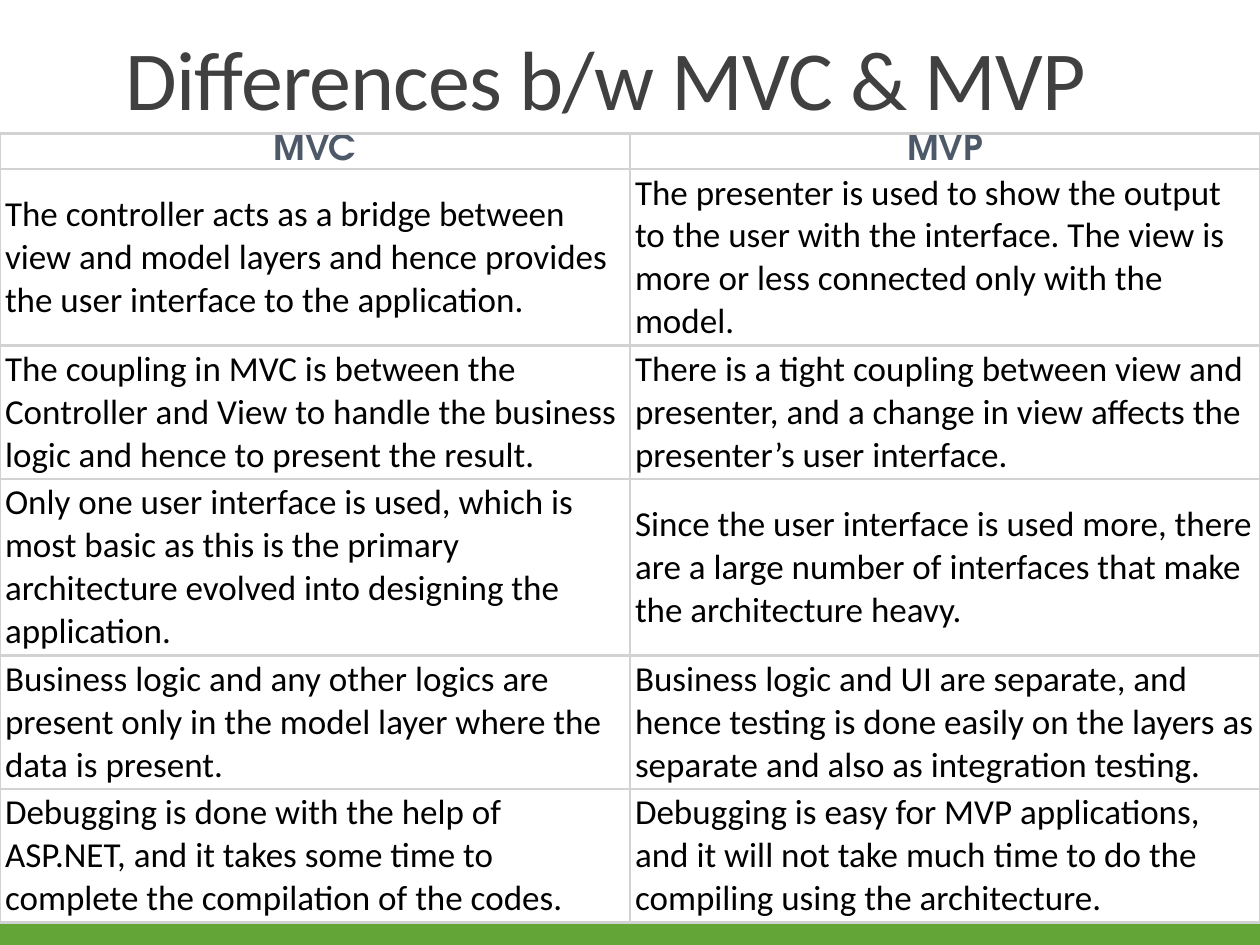
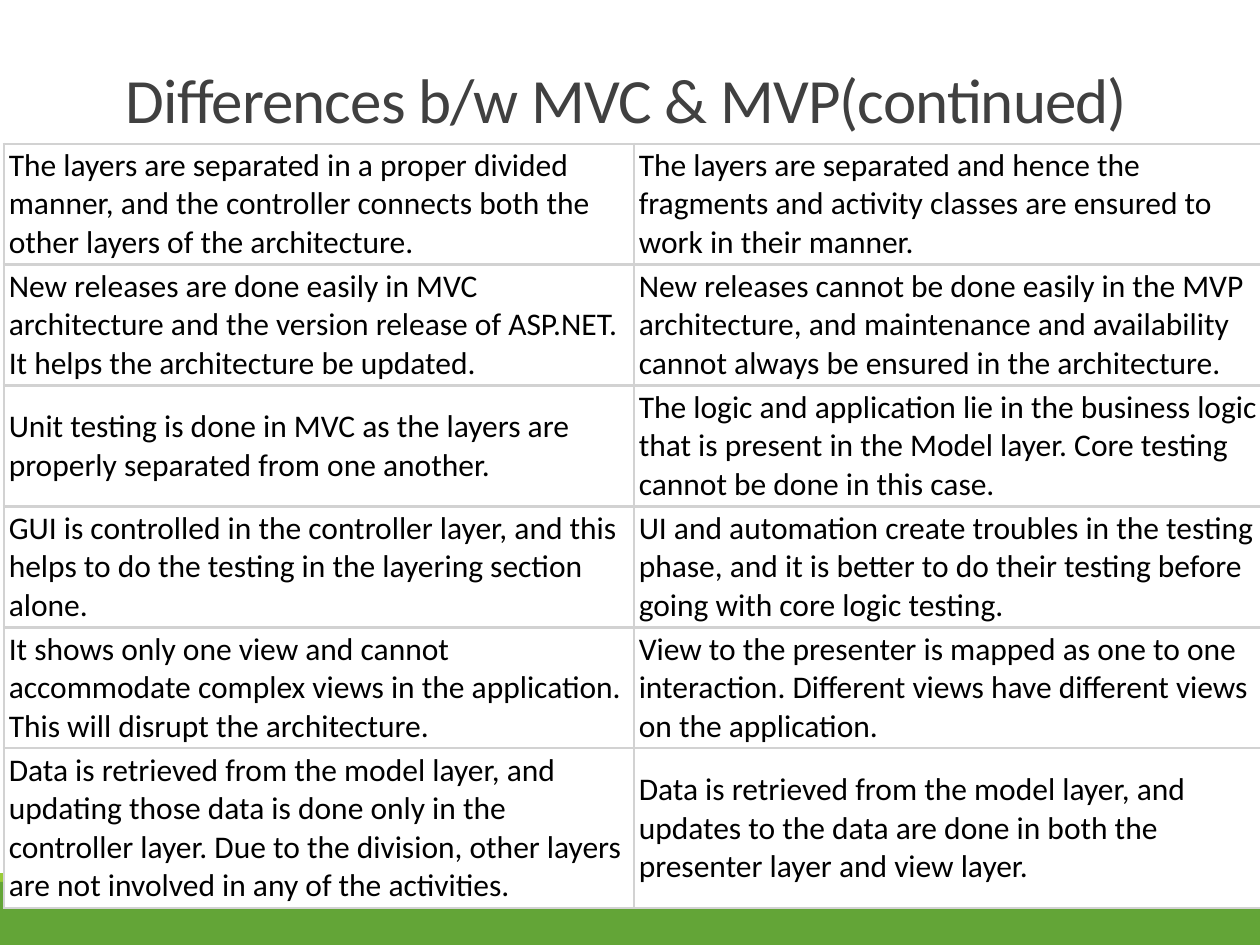
from lxml import etree
from pptx import Presentation
from pptx.dml.color import RGBColor
from pptx.enum.shapes import MSO_SHAPE
from pptx.enum.text import MSO_ANCHOR, PP_ALIGN
from pptx.oxml.ns import qn
from pptx.util import Inches, Pt

RECTANGLE = MSO_SHAPE.RECTANGLE
MIDDLE, BOTTOM = MSO_ANCHOR.MIDDLE, MSO_ANCHOR.BOTTOM
LEFT, CENTER = PP_ALIGN.LEFT, PP_ALIGN.CENTER

SLIDE_WIDTH, SLIDE_HEIGHT = 10, 7.5
TITLE_LEFT, TITLE_WIDTH = 0.9, 8.25
COLUMN_WIDTH = 5
CELL_FORMAT = {
    "margin_left": Inches(0.04), "margin_right": Inches(0.04),
    "margin_top": Inches(0.02), "margin_bottom": Inches(0.02),
    "vertical_anchor": MIDDLE,
}
BORDER_COLOR, BORDER_WIDTH = "D2D2D2", Pt(1.5)
CELL_FILL = "FFFFFF"
FOOTER_BANDS = [(6.93, 0.07, "99CB38"), (7, 0.5, "63A537")]

TITLE_FONT = {"name": "Calibri", "color": "404040"}
HEADING_FONT = {"name": "TeX Gyre Adventor", "color": "4D5968", "bold": True}
BODY_FONT = {"name": "Calibri", "color": "000000", "bold": False}

COMPARISONS = [
    {
        "title": "Differences b/w MVC & MVP",
        "title_size": 48, "title_top": -0.53, "title_height": 1.59,
        "table_left": 0, "table_top": 1.06, "text_size": 20,
        "headings": ("MVC", "MVP"),
        "row_heights": [0.28, 1.4, 1.06, 1.4, 1.06, 1.06],
        "rows": [
            ("The controller acts as a bridge between view and model layers and hence "
             "provides the user interface to the application.",
             "The presenter is used to show the output to the user with the interface. "
             "The view is more or less connected only with the model."),
            ("The coupling in MVC is between the Controller and View to handle the "
             "business logic and hence to present the result.",
             "There is a tight coupling between view and presenter, and a change in "
             "view affects the presenter’s user interface."),
            ("Only one user interface is used, which is most basic as this is the "
             "primary architecture evolved into designing the application.",
             "Since the user interface is used more, there are a large number of "
             "interfaces that make the architecture heavy."),
            ("Business logic and any other logics are present only in the model layer "
             "where the data is present.",
             "Business logic and UI are separate, and hence testing is done easily on "
             "the layers as separate and also as integration testing."),
            ("Debugging is done with the help of ASP.NET, and it takes some time to "
             "complete the compilation of the codes.",
             "Debugging is easy for MVP applications, and it will not take much time "
             "to do the compiling using the architecture."),
        ],
    },
    {
        "title": "Differences b/w MVC & MVP(continued)",
        "title_size": 36, "title_top": 0.31, "title_height": 0.82,
        "table_left": 0.03, "table_top": 1.14, "text_size": 18,
        "headings": None,
        "row_heights": [0.96] * 5 + [1.27],
        "rows": [
            ("The layers are separated in a proper divided manner, and the controller "
             "connects both the other layers of the architecture.",
             "The layers are separated and hence the fragments and activity classes "
             "are ensured to work in their manner."),
            ("New releases are done easily in MVC architecture and the version release "
             "of ASP.NET. It helps the architecture be updated.",
             "New releases cannot be done easily in the MVP architecture, and "
             "maintenance and availability cannot always be ensured in the architecture."),
            ("Unit testing is done in MVC as the layers are properly separated from "
             "one another.",
             "The logic and application lie in the business logic that is present in "
             "the Model layer. Core testing cannot be done in this case."),
            ("GUI is controlled in the controller layer, and this helps to do the "
             "testing in the layering section alone.",
             "UI and automation create troubles in the testing phase, and it is better "
             "to do their testing before going with core logic testing."),
            ("It shows only one view and cannot accommodate complex views in the "
             "application. This will disrupt the architecture.",
             "View to the presenter is mapped as one to one interaction. Different "
             "views have different views on the application."),
            ("Data is retrieved from the model layer, and updating those data is done "
             "only in the controller layer. Due to the division, other layers are not "
             "involved in any of the activities.",
             "Data is retrieved from the model layer, and updates to the data are done "
             "in both the presenter layer and view layer."),
        ],
    },
]


def rgb(hex_color):
    return RGBColor.from_string(hex_color)


def set_attributes(target, values):
    for name, value in values.items():
        setattr(target, name, value)


def write(frame, text, size, font, **paragraph_format):
    """Fill the frame's first paragraph and return its run."""
    paragraph = frame.paragraphs[0]
    set_attributes(paragraph, paragraph_format)
    run = paragraph.add_run()
    run.text = text
    run.font.size = Pt(size)
    run.font.color.rgb = rgb(font["color"])
    set_attributes(run.font, {k: v for k, v in font.items() if k != "color"})
    return run


def add_footer(slide):
    for top, height, color in FOOTER_BANDS:
        band = slide.shapes.add_shape(RECTANGLE, 0, Inches(top),
                                      Inches(SLIDE_WIDTH), Inches(height))
        band.shadow.inherit = False
        band.fill.solid()
        band.fill.fore_color.rgb = rgb(color)
        band.line.fill.background()


def add_title(slide, comparison):
    title = slide.shapes.add_textbox(
        Inches(TITLE_LEFT), Inches(comparison["title_top"]),
        Inches(TITLE_WIDTH), Inches(comparison["title_height"]))
    set_attributes(title.text_frame, {"word_wrap": True, "vertical_anchor": BOTTOM})
    run = write(title.text_frame, comparison["title"], comparison["title_size"],
                TITLE_FONT, line_spacing=0.85)
    run.font._element.set("spc", "-50")


def add_borders(cell):
    properties = cell._tc.get_or_add_tcPr()
    for side in ("a:lnL", "a:lnR", "a:lnT", "a:lnB"):
        border = etree.SubElement(properties, qn(side), w=str(BORDER_WIDTH))
        fill = etree.SubElement(border, qn("a:solidFill"))
        etree.SubElement(fill, qn("a:srgbClr"), val=BORDER_COLOR)


def add_comparison_table(slide, comparison):
    headings, heights = comparison["headings"], comparison["row_heights"]
    rows = ([headings] if headings else []) + comparison["rows"]
    table = slide.shapes.add_table(
        len(rows), 2, Inches(comparison["table_left"]), Inches(comparison["table_top"]),
        Inches(2 * COLUMN_WIDTH), Inches(sum(heights))).table
    set_attributes(table, {"first_row": bool(headings), "horz_banding": False})
    for column in table.columns:
        column.width = Inches(COLUMN_WIDTH)
    for row_index, (texts, height) in enumerate(zip(rows, heights)):
        table.rows[row_index].height = Inches(height)
        if texts is headings:
            font, layout = HEADING_FONT, {"alignment": CENTER, "line_spacing": Pt(17.5)}
        else:
            font, layout = BODY_FONT, {"alignment": LEFT}
        for column_index, text in enumerate(texts):
            cell = table.cell(row_index, column_index)
            set_attributes(cell, CELL_FORMAT)
            add_borders(cell)
            cell.fill.solid()
            cell.fill.fore_color.rgb = rgb(CELL_FILL)
            write(cell.text_frame, text, comparison["text_size"], font, **layout)


def main():
    deck = Presentation()
    deck.slide_width, deck.slide_height = Inches(SLIDE_WIDTH), Inches(SLIDE_HEIGHT)
    for comparison in COMPARISONS:
        slide = deck.slides.add_slide(deck.slide_layouts[6])
        add_footer(slide)
        add_title(slide, comparison)
        add_comparison_table(slide, comparison)
    deck.save("out.pptx")


if __name__ == "__main__":
    main()
